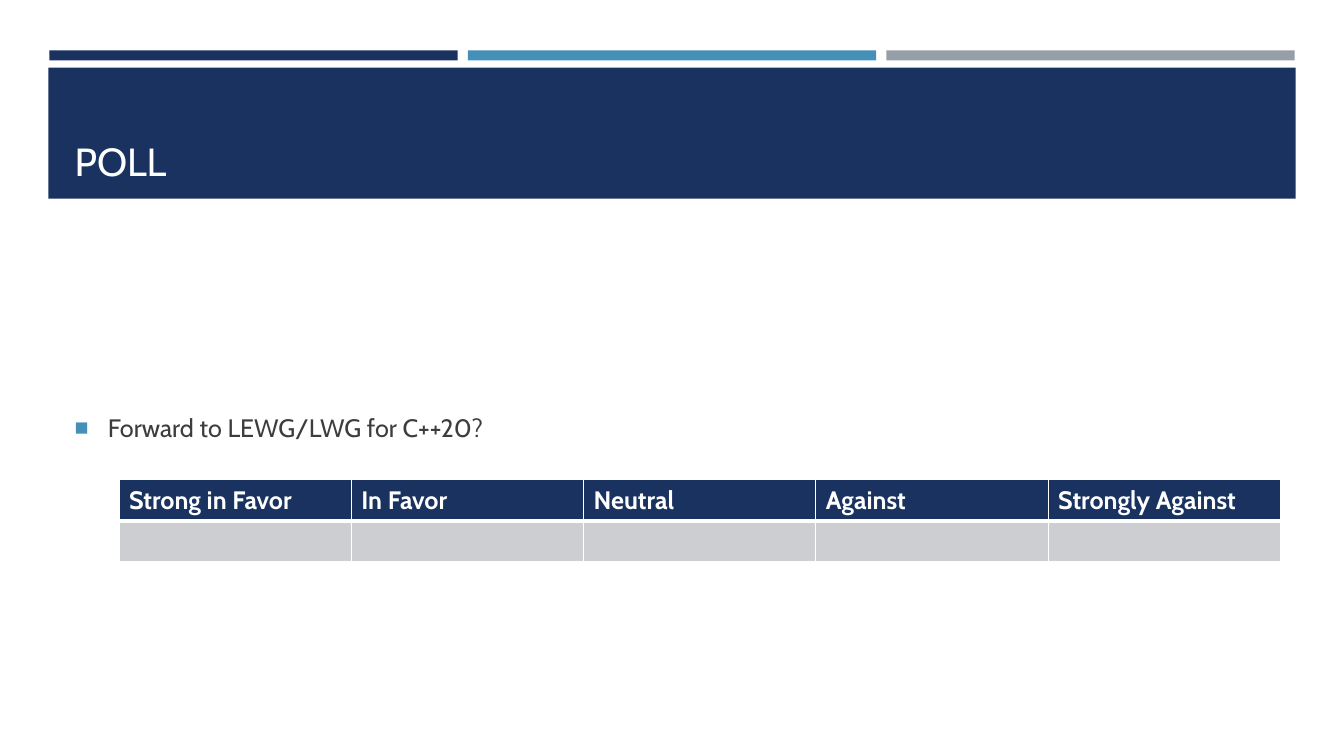
from dataclasses import dataclass

from lxml import etree
from pptx import Presentation
from pptx.dml.color import RGBColor
from pptx.enum.shapes import MSO_SHAPE
from pptx.enum.text import MSO_ANCHOR, MSO_AUTO_SIZE, PP_ALIGN
from pptx.oxml.ns import qn
from pptx.util import Pt

RECT = MSO_SHAPE.RECTANGLE
LEFT = PP_ALIGN.LEFT
BOTTOM, MIDDLE = MSO_ANCHOR.BOTTOM, MSO_ANCHOR.MIDDLE
NO_FIT = MSO_AUTO_SIZE.NONE
SCALE = 9144  # EMU in one px, at 100 px to the inch


@dataclass(frozen=True)
class Theme:
    font: str = "Cabin"
    navy: str = "1A3260"
    blue: str = "4590B8"
    grey: str = "969FA7"
    pale: str = "CDCED2"
    ink: str = "3D3D3D"
    white: str = "FFFFFF"
    head: int = 28
    text: int = 18
    thin: int = 1
    thick: int = 3


@dataclass(frozen=True)
class Box:
    left: int
    top: int
    width: int
    height: int

    def emu(self) -> tuple[int, ...]:
        return tuple(px(n) for n in (self.left, self.top, self.width, self.height))


@dataclass(frozen=True)
class Bar:
    box: Box
    color: str


THEME = Theme()
BARS = [
    Bar(Box(49 + 415 * i, 50, 405, 10), color)
    for i, color in enumerate((THEME.navy, THEME.blue, THEME.grey))
] + [Bar(Box(48, 67, 1237, 130), THEME.navy)]
TITLE = Box(64, 77, 1206, 111)
BODY = Box(64, 238, 1206, 402)
GRID = Box(118, 476, 1152, 81)
VOTES = ("Strong in Favor", "In Favor", "Neutral", "Against", "Strongly Against")


def px(count: int) -> int:
    return count * SCALE


def rgb(color: str) -> RGBColor:
    return RGBColor.from_string(color)


def draw_bar(slide, bar: Bar) -> None:
    shape = slide.shapes.add_shape(RECT, *bar.box.emu())
    shape.shadow.inherit = False
    shape.fill.solid()
    shape.fill.fore_color.rgb = rgb(bar.color)
    shape.line.fill.background()


def style(para, size: int, color: str, bold: bool = False) -> None:
    para.alignment = LEFT
    for run in para.runs:
        font = run.font
        font.name, font.size, font.bold = THEME.font, Pt(size), bold
        font.color.rgb = rgb(color)


def place(holder, box: Box, text: str, anchor, size: int, color: str):
    """Fill a placeholder, bring it to the front and return its paragraph."""
    holder.left, holder.top, holder.width, holder.height = box.emu()
    holder.element.getparent().append(holder.element)
    frame = holder.text_frame
    frame.text = text
    frame.auto_size = NO_FIT
    frame.vertical_anchor = anchor
    style(frame.paragraphs[0], size, color)
    return frame.paragraphs[0]


def add_bullet(para) -> None:
    para.space_after = Pt(6)
    props = para._p.get_or_add_pPr()
    props.set("marL", str(px(33)))
    props.set("indent", str(px(-33)))
    paint = etree.SubElement(props, qn("a:buClr"))
    etree.SubElement(paint, qn("a:srgbClr"), val=THEME.blue)
    etree.SubElement(props, qn("a:buSzPct"), val="92000")
    etree.SubElement(props, qn("a:buChar"), char="■")


def add_edge(cell, side: str, width: int) -> None:
    props = cell._tc.get_or_add_tcPr()
    line = etree.SubElement(props, qn(f"a:ln{side}"), w=str(Pt(width)))
    fill = etree.SubElement(line, qn("a:solidFill"))
    etree.SubElement(fill, qn("a:srgbClr"), val=THEME.white)


def fill_cell(cell, text: str, header: bool) -> None:
    cell.text = text
    style(cell.text_frame.paragraphs[0], THEME.text, THEME.white, bold=True)
    top, base = (THEME.thin, THEME.thick) if header else (THEME.thick, THEME.thin)
    for side, width in zip("LRTB", (THEME.thin, THEME.thin, top, base)):
        add_edge(cell, side, width)
    cell.fill.solid()
    cell.fill.fore_color.rgb = rgb(THEME.navy if header else THEME.pale)


def draw_table(slide) -> None:
    table = slide.shapes.add_table(2, len(VOTES), *GRID.emu()).table
    table.horz_banding = False
    for col, vote in enumerate(VOTES):
        fill_cell(table.cell(0, col), vote, True)
        fill_cell(table.cell(1, col), "", False)


def main() -> None:
    deck = Presentation()
    deck.slide_width, deck.slide_height = px(1333), px(750)
    slide = deck.slides.add_slide(deck.slide_layouts[1])
    for bar in BARS:
        draw_bar(slide, bar)
    title, body = slide.placeholders
    place(title, TITLE, "POLL", BOTTOM, THEME.head, THEME.white)
    item = place(body, BODY, "Forward to LEWG/LWG for C++20?", MIDDLE, THEME.text, THEME.ink)
    body.text_frame.margin_bottom = px(35)
    add_bullet(item)
    draw_table(slide)
    deck.save("out.pptx")


if __name__ == "__main__":
    main()
